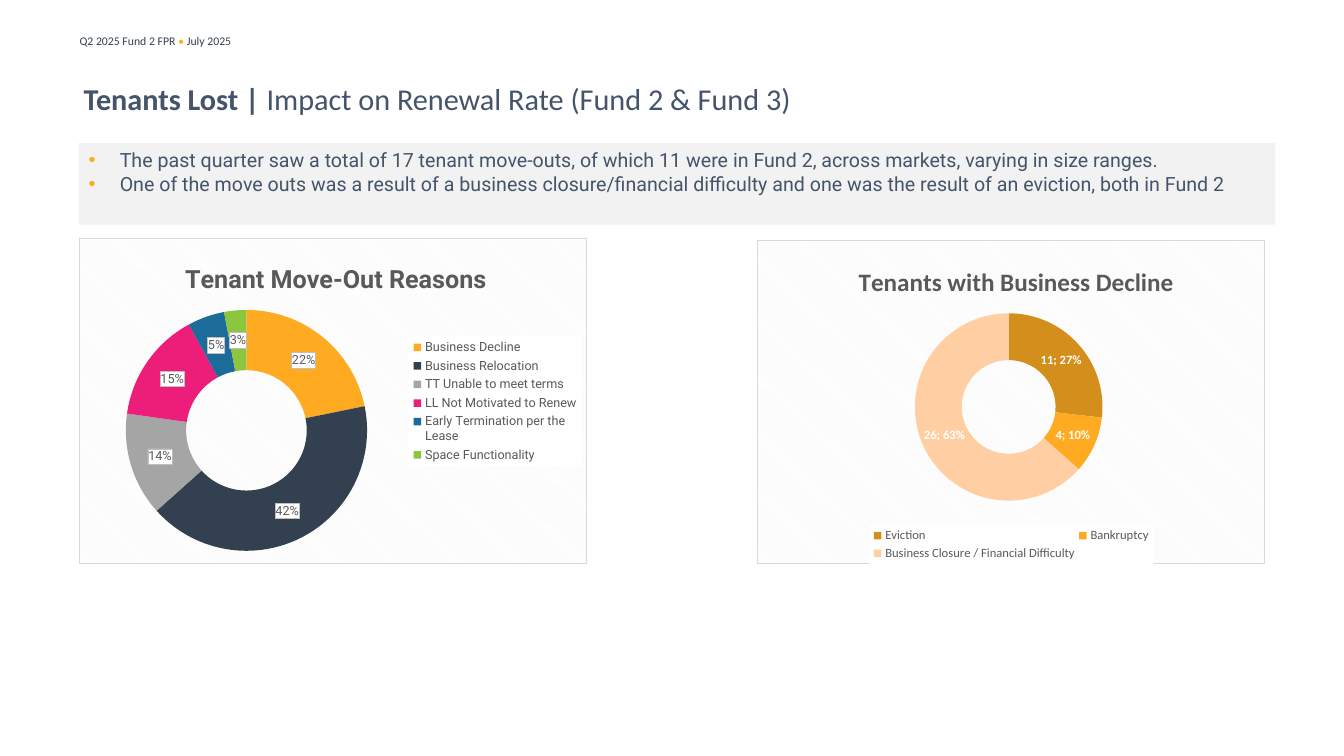
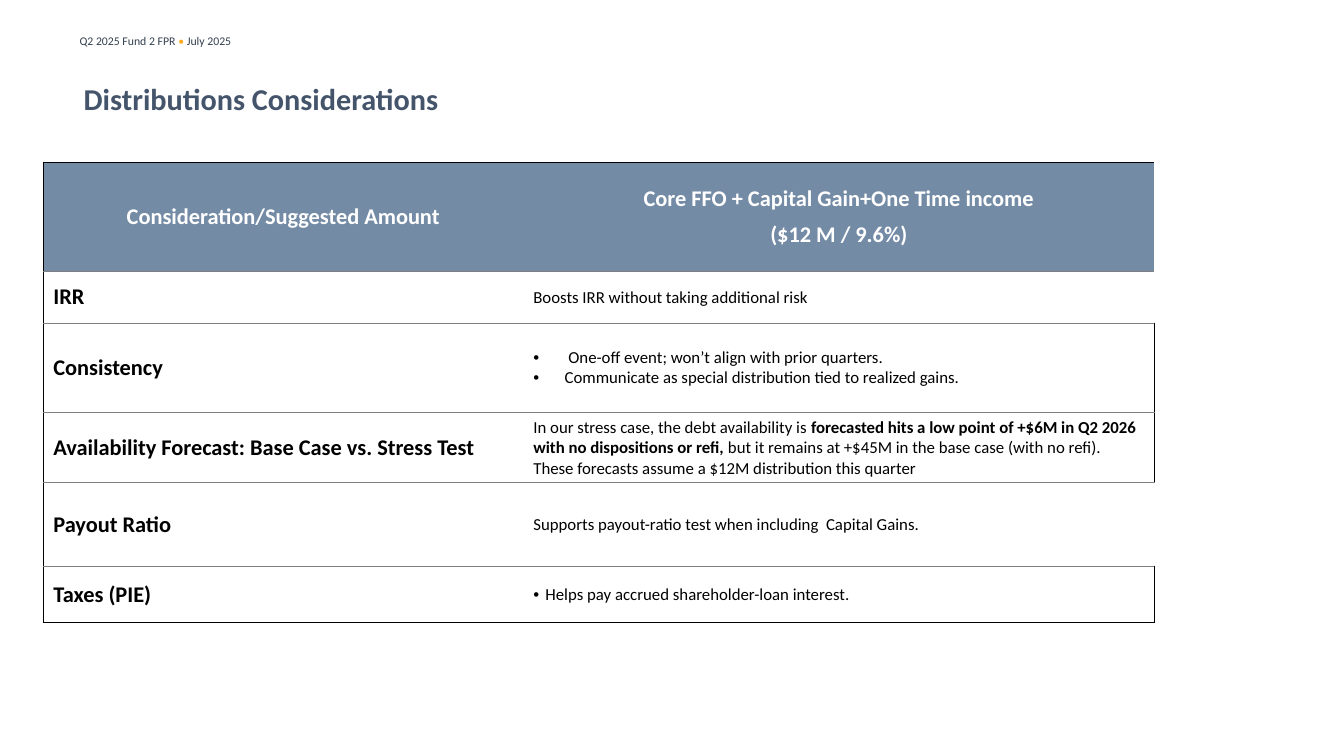
import pptx
import pptx.chart.data
import pptx.dml.color
import pptx.enum.chart
import pptx.enum.shapes
import pptx.enum.text
import pptx.oxml
import pptx.oxml.ns
import pptx.util

# Shared look: 100 px to the inch
PX = 9144
INK, AMBER, SLATE = "33404F", "FFAB21", "44546A"
BLACK, WHITE, GREY, PALE = "000000", "FFFFFF", "595959", "F2F2F2"
CENTER = pptx.enum.text.PP_ALIGN.CENTER
MIDDLE = pptx.enum.text.MSO_ANCHOR.MIDDLE
LEGEND = pptx.enum.chart.XL_LEGEND_POSITION
NAMESPACES = pptx.oxml.ns.nsdecls("a", "c")

# Content: a span is (text, overrides)
RUNNING_HEAD = [("Q2 2025 Fund 2 FPR ", {}), ("• ", {"color": AMBER}), ("July 2025", {})]
LOST_TITLE = [("Tenants Lost | ", {"bold": True}),
              ("Impact on Renewal Rate (Fund 2 & Fund 3)", {})]
DISTRIBUTIONS_TITLE = [("Distributions Considerations", {"bold": True})]
FINDINGS = [
    "The past quarter saw a total of 17 tenant move-outs, of which 11 were in Fund 2, "
    "across markets, varying in size ranges.",
    "One of the move outs was a result of a business closure/financial difficulty and "
    "one was the result of an eviction, both in Fund 2",
]
# Layout boxes inside a chart are fractions of its size
CHARTS = [
    {"title": "Tenant Move-Out Reasons", "font": "Roboto", "box": (78, 236, 504, 324),
     "slices": [("Business Decline", 22, "FFAB21"), ("Business Relocation", 42, "33404F"),
                ("TT Unable to meet terms", 14, "A5A5A5"),
                ("LL Not Motivated to Renew", 15, "ED1E79"),
                ("Early Termination per the Lease", 5, "1C6C99"),
                ("Space Functionality", 3, "8CC63F")],
     "hole": 50, "legend": LEGEND.RIGHT, "boxed_labels": True,
     "title_at": (0.2, 0.06), "ring_at": (0.09, 0.22, 0.48, 0.74),
     "legend_at": (0.65, 0.3, 0.34, 0.4)},
    {"title": "Tenants with Business Decline", "font": "Calibri", "box": (751, 238, 504, 322),
     "slices": [("Eviction", 11, "D38E1B"), ("Bankruptcy", 4, "FFAB21"),
                ("Business Closure / Financial Difficulty", 26, "FFCEA3")],
     "hole": 70, "legend": LEGEND.BOTTOM, "boxed_labels": False,
     "title_at": (0.19, 0.06), "ring_at": (0.31, 0.22, 0.37, 0.59),
     "legend_at": (0.22, 0.88, 0.56, 0.12)},
]
TABLE_HEAD = ("Consideration/Suggested Amount",
              ["Core FFO + Capital Gain+One Time income", "($12 M / 9.6%)"])
# Row: label, height, bullet indent, right edge drawn, paragraphs
TABLE_HEAD_HEIGHT = 108
TABLE_ROWS = [
    ("IRR", 52, 0, False, ["Boosts IRR without taking additional risk"]),
    ("Consistency", 88, 31, True,
     [" One-off event; won’t align with prior quarters.",
      "Communicate as special distribution tied to realized gains."]),
    ("Availability Forecast: Base Case vs. Stress Test", 66, 0, True,
     [[("In our stress case, the debt availability is ", {}),
       ("forecasted hits a low point of +$6M in Q2 2026 with no dispositions or refi, ",
        {"bold": True}),
       ("but it remains at +$45M in the base case (with no refi). These forecasts assume "
        "a $12M distribution this quarter", {})]]),
    ("Payout Ratio", 83, 0, False,
     ["Supports payout-ratio test when including  Capital Gains."]),
    ("Taxes (PIE)", 56, 12, True, ["Helps pay accrued shareholder-loan interest."]),
]
TABLE_COLUMNS = (476, 626)


def rgb(value):
    return pptx.dml.color.RGBColor.from_string(value)


def px(*lengths):
    return [pptx.util.Emu(length * PX) for length in lengths]


def xml(markup):
    """Parse one element, declaring the drawing and chart namespaces on it."""
    name, rest = markup[1:].split(" ", 1)
    return pptx.oxml.parse_xml(f"<{name} {NAMESPACES} {rest}")


def style(font, size=None, color=None, bold=None, name=None):
    if size is not None:
        font.size = pptx.util.Pt(size)
    if color is not None:
        font.color.rgb = rgb(color)
    if bold is not None:
        font.bold = bold
    if name is not None:
        font.name = name


def write(frame, paragraphs, size, color, bold=False, name="Calibri",
          align=None, gap=0, indent=0, bullet_color=None):
    """Fill a text frame; each paragraph is a string or a list of spans."""
    for index, content in enumerate(paragraphs):
        para = frame.paragraphs[0] if index == 0 else frame.add_paragraph()
        if align is not None:
            para.alignment = align
        if index and gap:
            para.space_before = pptx.util.Pt(gap)
        if indent:
            properties = para._p.get_or_add_pPr()
            properties.set("marL", str(indent * PX))
            properties.set("indent", str(-indent * PX))
            if bullet_color:
                properties.append(xml(f'<a:buClr ><a:srgbClr val="{bullet_color}"/></a:buClr>'))
            properties.append(xml('<a:buFont typeface="Arial"/>'))
            properties.append(xml('<a:buChar char="•"/>'))
        style(para.font, size, color, bold, name)
        spans = [(content, {})] if isinstance(content, str) else content
        for text, overrides in spans:
            span = para.add_run()
            span.text = text
            style(span.font, **overrides)


def add_text(page, box, spans, size, color, **frame_options):
    frame = page.shapes.add_textbox(*px(*box)).text_frame
    frame.word_wrap = True
    for option, value in frame_options.items():
        setattr(frame, option, value)
    write(frame, [spans], size, color)


def new_page(deck, title):
    page = deck.slides.add_slide(deck.slide_layouts[6])
    add_text(page, (69, 29, 451, 24), RUNNING_HEAD, 8.4, INK)
    add_text(page, (83, 60, 1102, 75), title, 21.6, SLATE, vertical_anchor=MIDDLE,
             margin_left=0, margin_right=0, margin_top=0, margin_bottom=0)
    return page


def add_findings(page):
    band = page.shapes.add_shape(pptx.enum.shapes.MSO_SHAPE.RECTANGLE, *px(78, 142, 1187, 81))
    band.shadow.inherit = False
    band.fill.solid()
    band.fill.fore_color.rgb = rgb(PALE)
    band.line.fill.background()
    frame = band.text_frame
    frame.word_wrap = True
    frame.vertical_anchor = pptx.enum.text.MSO_ANCHOR.TOP
    write(frame, FINDINGS, 14, SLATE, name="Roboto", align=pptx.enum.text.PP_ALIGN.LEFT,
          indent=31, bullet_color="FEAB21")


def place(parent, position, fractions):
    """Give a chart part a fixed place, as its child number `position`."""
    for old in parent.findall(pptx.oxml.ns.qn("c:layout")):
        parent.remove(old)
    modes = '<c:xMode val="edge"/><c:yMode val="edge"/>'
    if position == 0:
        modes = '<c:layoutTarget val="inner"/>' + modes
    values = "".join(f'<c:{key} val="{value}"/>' for key, value in zip("xywh", fractions))
    parent.insert(position, xml(
        f"<c:layout ><c:manualLayout>{modes}{values}</c:manualLayout></c:layout>"))


def box_fill(line):
    outline = (f'<a:ln w="6350"><a:solidFill><a:srgbClr val="{line}"/></a:solidFill></a:ln>'
               if line else "<a:ln><a:noFill/></a:ln>")
    return xml(f'<c:spPr ><a:solidFill><a:srgbClr val="{WHITE}"/></a:solidFill>{outline}</c:spPr>')


def add_ring(page, spec_row):
    font = spec_row["font"]
    names, values, colors = zip(*spec_row["slices"])
    data = pptx.chart.data.CategoryChartData()
    data.categories = names
    data.add_series("Series 1", values)
    chart = page.shapes.add_chart(pptx.enum.chart.XL_CHART_TYPE.DOUGHNUT,
                                  *px(*spec_row["box"]), data).chart
    style(chart.font, 10, BLACK, name=font)
    root = chart._chartSpace
    find = lambda tag: root.find(".//" + pptx.oxml.ns.qn(tag))

    # Hatched card behind the ring
    find("c:chart").addnext(xml(
        f'<c:spPr ><a:pattFill prst="dkDnDiag"><a:fgClr><a:srgbClr val="{PALE}"/></a:fgClr>'
        f'<a:bgClr><a:srgbClr val="{WHITE}"/></a:bgClr></a:pattFill>'
        '<a:ln w="9525"><a:solidFill><a:srgbClr val="D9D9D9"/></a:solidFill></a:ln></c:spPr>'))

    # Title and legend
    chart.has_title = True
    write(chart.chart_title.text_frame, [spec_row["title"]], 18, GREY, True, font)
    place(find("c:title"), 1, spec_row["title_at"])
    chart.has_legend = True
    chart.legend.position = spec_row["legend"]
    chart.legend.include_in_layout = False
    style(chart.legend.font, 9, GREY, name=font)
    legend = find("c:legend")
    place(legend, 1, spec_row["legend_at"])
    legend.find(pptx.oxml.ns.qn("c:txPr")).addprevious(box_fill(None))

    # Ring and slices
    place(find("c:plotArea"), 0, spec_row["ring_at"])
    find("c:holeSize").set("val", str(spec_row["hole"]))
    plot = chart.plots[0]
    plot.vary_by_categories = True
    series = plot.series[0]
    for index, color in enumerate(colors):
        slice_format = series.points[index].format
        slice_format.fill.solid()
        slice_format.fill.fore_color.rgb = rgb(color)
        slice_format.line.fill.background()

    # Labels
    boxed = spec_row["boxed_labels"]
    labels = series.data_labels
    labels.show_percentage = True
    labels.show_value = not boxed
    style(labels.font, 9, GREY if boxed else WHITE, not boxed, font)
    labels_xml = labels._element
    if boxed:
        labels.number_format = "0%"
        labels.number_format_is_linked = False
        labels_xml.find(pptx.oxml.ns.qn("c:txPr")).addprevious(box_fill("BFBFBF"))
    else:
        labels_xml.find(pptx.oxml.ns.qn("c:showBubbleSize")).addnext(
            xml("<c:separator >; </c:separator>"))


def fill_cell(cell, fill, edges):
    """Fill a cell and draw its left, right, top and bottom edges."""
    cell.vertical_anchor = MIDDLE
    cell.fill.solid()
    cell.fill.fore_color.rgb = rgb(fill)
    properties = cell._tc.get_or_add_tcPr()
    for index, (side, color) in enumerate(zip("LRTB", edges)):
        paint = (f'<a:solidFill><a:srgbClr val="{color}"/></a:solidFill>'
                 if color else "<a:noFill/>")
        properties.insert(index, xml(f'<a:ln{side} w="12700">{paint}</a:ln{side}>'))


def add_considerations(page):
    heights = [TABLE_HEAD_HEIGHT] + [row[1] for row in TABLE_ROWS]
    table = page.shapes.add_table(len(heights), len(TABLE_COLUMNS),
                                  *px(43, 161, sum(TABLE_COLUMNS), sum(heights))).table
    table.first_row = table.horz_banding = False
    for column, width in zip(table.columns, px(*TABLE_COLUMNS)):
        column.width = width
    for index, height in enumerate(px(*heights)):
        table.rows[index].height = height
        top = "808080" if index else BLACK
        bottom = BLACK if index == len(TABLE_ROWS) else "808080"
        right = BLACK if index and TABLE_ROWS[index - 1][3] else None
        fill = WHITE if index else "748BA6"
        label_cell, detail_cell = table.cell(index, 0), table.cell(index, 1)
        fill_cell(label_cell, fill, (BLACK, None, top, bottom))
        fill_cell(detail_cell, fill, (None, right, top, bottom))
        if index:
            label, _, indent, _, details = TABLE_ROWS[index - 1]
            write(label_cell.text_frame, [label], 16, BLACK, True)
            write(detail_cell.text_frame, details, 12, BLACK, indent=indent)
        else:
            write(label_cell.text_frame, [TABLE_HEAD[0]], 16, WHITE, True, align=CENTER)
            write(detail_cell.text_frame, TABLE_HEAD[1], 16, WHITE, True, align=CENTER, gap=6)


def main():
    deck = pptx.Presentation()
    deck.slide_width, deck.slide_height = px(1333, 750)

    # Tenants lost
    page = new_page(deck, LOST_TITLE)
    add_findings(page)
    for ring in CHARTS:
        add_ring(page, ring)

    # Distributions
    add_considerations(new_page(deck, DISTRIBUTIONS_TITLE))
    deck.save("out.pptx")


if __name__ == "__main__":
    main()
